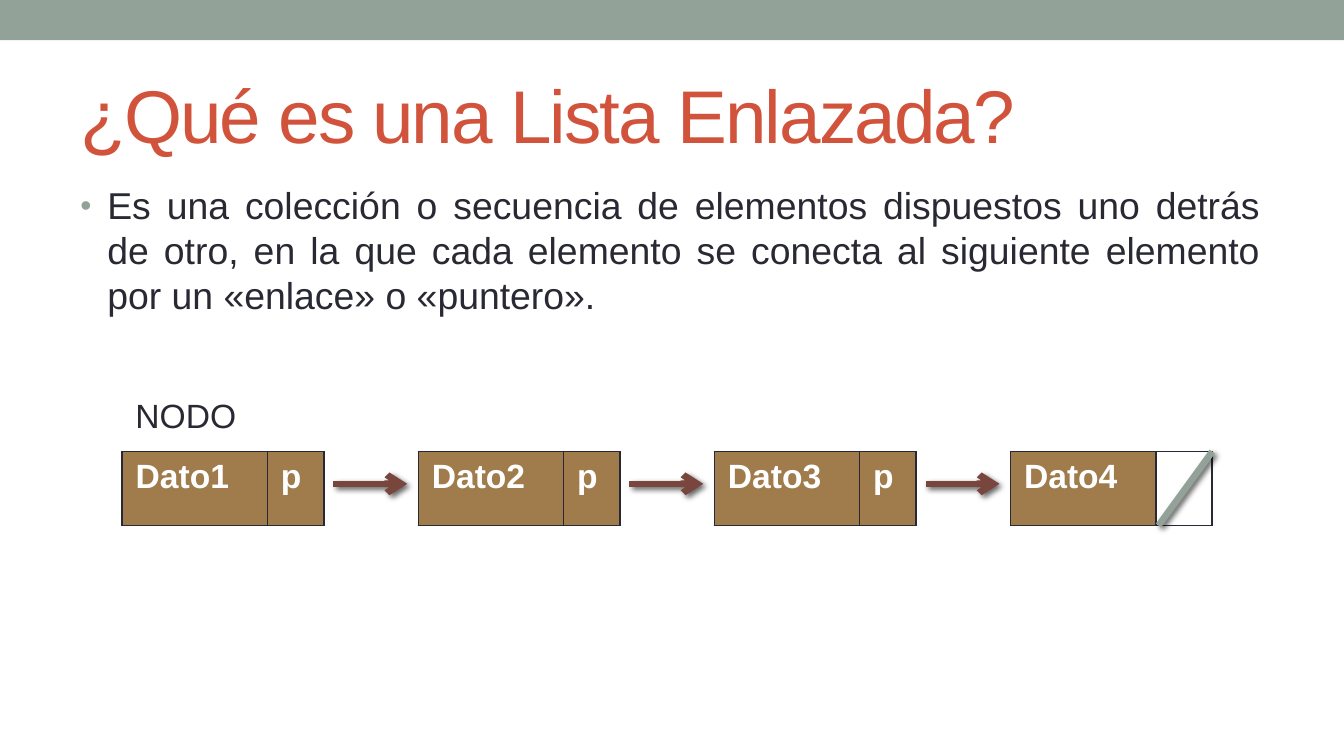
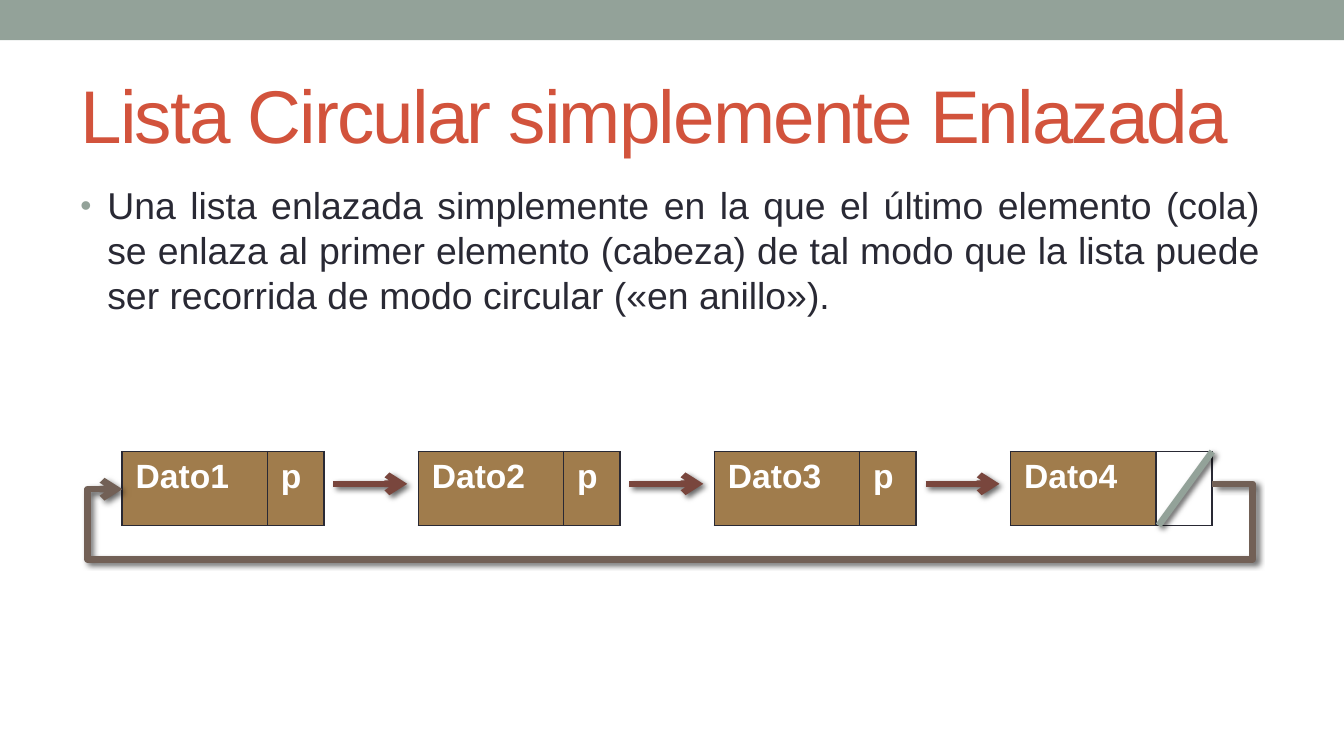
"""Builds two slides that explain linked lists and circular linked lists."""
from dataclasses import dataclass

from lxml import etree
from pptx import Presentation
from pptx.dml.color import RGBColor
from pptx.enum.shapes import MSO_CONNECTOR, MSO_SHAPE
from pptx.enum.text import MSO_ANCHOR, PP_ALIGN
from pptx.oxml.ns import qn
from pptx.shapes.connector import Connector
from pptx.slide import Slide
from pptx.table import _Cell
from pptx.text.text import TextFrame, _Paragraph
from pptx.util import Inches, Pt

STRAIGHT, ELBOW = MSO_CONNECTOR.STRAIGHT, MSO_CONNECTOR.ELBOW
RECTANGLE = MSO_SHAPE.RECTANGLE
MIDDLE, JUSTIFY = MSO_ANCHOR.MIDDLE, PP_ALIGN.JUSTIFY


@dataclass(frozen=True)
class Theme:
    font: str = "Arial"
    band: str = "93A299"
    title: str = "D2533C"
    ink: str = "292934"
    paper: str = "FFFFFF"
    node: str = "A07C4C"
    link: str = "79463D"
    loop: str = "726056"
    shadow: str = "000000"
    title_size: int = 40
    body_size: int = 20
    node_size: int = 18
    border_width: float = 1
    link_width: float = 3.5


@dataclass(frozen=True)
class Box:
    left: float
    top: float
    width: float
    height: float


@dataclass(frozen=True)
class Lesson:
    title: str
    definition: str
    node_label: str = ""
    circular: bool = False


THEME = Theme()
SLIDE_WIDTH = 10
SLIDE_HEIGHT = SLIDE_WIDTH * 9 / 16
BAND = Box(0, 0, SLIDE_WIDTH, 0.3)
TITLE = Box(0.5, 0.44, 9, 0.81)
BODY = Box(0.5, 1.31, 8.98, 4)
NODE_LABEL = Box(0.91, 2.89, 1.5, 0.4)
NODE_NAMES = ("Dato1", "Dato2", "Dato3", "Dato4")
FIRST_LEFT, LAST_LEFT = 0.91, 7.52
NODE_PITCH = (LAST_LEFT - FIRST_LEFT) / (len(NODE_NAMES) - 1)
NODE_TOP, NODE_HEIGHT = 3.36, 0.55
DATA_WIDTH, POINTER_WIDTH = 1.08, 0.42
NODE_WIDTH = DATA_WIDTH + POINTER_WIDTH
LINK_Y, LINK_GAP, LINK_LENGTH = 3.6, 0.07, 0.55
LOOP_END_Y, LOOP_RIGHT, LOOP_BOTTOM, LOOP_LEFT = 3.64, 9.32, 4.16, 0.65

LESSONS = (
    Lesson(
        "¿Qué es una Lista Enlazada?",
        "Es una colección o secuencia de elementos dispuestos uno detrás de otro, "
        "en la que cada elemento se conecta al siguiente elemento por un «enlace» "
        "o «puntero».",
        node_label="NODO",
    ),
    Lesson(
        "Lista Circular simplemente Enlazada",
        "Una lista enlazada simplemente en la que el último elemento (cola) se "
        "enlaza al primer elemento (cabeza) de tal modo que la lista puede ser "
        "recorrida de modo circular («en anillo»).",
        circular=True,
    ),
)


def add_child(parent: etree._Element, tag: str, **attributes: object) -> etree._Element:
    """Append a drawing element with the given attributes."""
    values = {key: str(value) for key, value in attributes.items()}
    return etree.SubElement(parent, qn(tag), values)


def write(frame: TextFrame, text: str, size: float, color: str,
          bold: bool = False) -> _Paragraph:
    """Write one formatted run in the first paragraph of a frame."""
    paragraph = frame.paragraphs[0]
    run = paragraph.add_run()
    run.text = text
    for name, value in {"name": THEME.font, "size": Pt(size), "bold": bold}.items():
        setattr(run.font, name, value)
    run.font.color.rgb = RGBColor.from_string(color)
    return paragraph


def add_text(slide: Slide, box: Box, text: str, size: float, color: str) -> TextFrame:
    """Place a wrapping text box."""
    frame = slide.shapes.add_textbox(
        Inches(box.left), Inches(box.top), Inches(box.width), Inches(box.height)
    ).text_frame
    frame.word_wrap = True
    write(frame, text, size, color)
    return frame


def add_band(slide: Slide) -> None:
    """Draw the coloured band along the top edge."""
    band = slide.shapes.add_shape(
        RECTANGLE, Inches(BAND.left), Inches(BAND.top),
        Inches(BAND.width), Inches(BAND.height)
    )
    band.shadow.inherit = False
    band.fill.solid()
    band.fill.fore_color.rgb = RGBColor.from_string(THEME.band)
    band.line.fill.background()


def add_title(slide: Slide, text: str) -> None:
    """Write the slide title with tightened letters."""
    frame = add_text(slide, TITLE, text, THEME.title_size, THEME.title)
    frame.vertical_anchor = MIDDLE
    frame.paragraphs[0].runs[0].font._element.set("spc", "-100")


def add_definition(slide: Slide, text: str) -> None:
    """Write the justified definition with its bullet."""
    frame = add_text(slide, BODY, text, THEME.body_size, THEME.ink)
    paragraph = frame.paragraphs[0]
    paragraph.alignment = JUSTIFY
    properties = paragraph._p.get_or_add_pPr()
    properties.set("marL", str(Inches(0.2)))
    properties.set("indent", str(Inches(-0.2)))
    add_child(add_child(properties, "a:buClr"), "a:srgbClr", val=THEME.band)
    add_child(properties, "a:buSzPct", val=85000)
    add_child(properties, "a:buFont", typeface=THEME.font)
    add_child(properties, "a:buChar", char="•")


def style_cell(cell: _Cell, fill: str) -> None:
    """Give a node cell its fill and four borders."""
    properties = cell._tc.get_or_add_tcPr()
    for side in ("a:lnL", "a:lnR", "a:lnT", "a:lnB"):
        border = add_child(properties, side, w=Pt(THEME.border_width))
        add_child(add_child(border, "a:solidFill"), "a:srgbClr", val=THEME.ink)
    cell.fill.solid()
    cell.fill.fore_color.rgb = RGBColor.from_string(fill)


def add_node(slide: Slide, left: float, name: str, last: bool) -> None:
    """Draw one list node as a data cell and a pointer cell."""
    node = slide.shapes.add_table(
        1, 2, Inches(left), Inches(NODE_TOP), Inches(NODE_WIDTH), Inches(NODE_HEIGHT)
    ).table
    for option in ("first_row", "horz_banding"):
        setattr(node, option, False)
    for column, width in zip(node.columns, (DATA_WIDTH, POINTER_WIDTH)):
        column.width = Inches(width)
    pointer_fill = THEME.paper if last else THEME.node
    for cell, text, fill in zip(node.iter_cells(), (name, "p"), (THEME.node, pointer_fill)):
        style_cell(cell, fill)
        write(cell.text_frame, text, THEME.node_size, THEME.paper, bold=True)


def add_link(slide: Slide, start: tuple[float, float], end: tuple[float, float],
             color: str, arrow: bool = True, kind: MSO_CONNECTOR = STRAIGHT) -> Connector:
    """Draw a shadowed connector, with an arrowhead if wanted."""
    link = slide.shapes.add_connector(kind, *map(Inches, start + end))
    link.line.width = Pt(THEME.link_width)
    link.line.color.rgb = RGBColor.from_string(color)
    if arrow:
        add_child(link.line._get_or_add_ln(), "a:tailEnd", type="arrow")
    shadow = add_child(
        add_child(link._element.spPr, "a:effectLst"), "a:outerShdw",
        blurRad=Pt(3), dist=Pt(2), dir=45 * 60000, rotWithShape=0,
    )
    tint = add_child(shadow, "a:srgbClr", val=THEME.shadow)
    add_child(tint, "a:alpha", val=60000)
    return link


def add_loop(slide: Slide) -> None:
    """Lead the tail node back to the head node under the list."""
    start_x, end_x = LAST_LEFT + NODE_WIDTH, FIRST_LEFT
    loop = add_link(slide, (end_x, LOOP_END_Y), (start_x, LINK_Y), THEME.loop, kind=ELBOW)
    properties = loop._element.spPr
    properties.find(qn("a:xfrm")).set("rot", str(180 * 60000))
    geometry = properties.find(qn("a:prstGeom"))
    geometry.set("prst", "bentConnector5")
    guides = geometry.find(qn("a:avLst"))
    if guides is None:
        guides = add_child(geometry, "a:avLst")
    bends = (
        (LOOP_RIGHT - start_x) / (end_x - start_x),
        (LOOP_BOTTOM - LINK_Y) / (LOOP_END_Y - LINK_Y),
        (LOOP_LEFT - start_x) / (end_x - start_x),
    )
    for number, bend in enumerate(bends, 1):
        add_child(guides, "a:gd", name=f"adj{number}", fmla=f"val {round(bend * 100000)}")


def add_list(slide: Slide) -> None:
    """Draw the chain of nodes, its links and the closing stroke."""
    for index, name in enumerate(NODE_NAMES):
        left = FIRST_LEFT + index * NODE_PITCH
        right = left + NODE_WIDTH
        last = index == len(NODE_NAMES) - 1
        add_node(slide, left, name, last)
        if last:
            add_link(slide, (right, NODE_TOP),
                     (right - POINTER_WIDTH + 0.02, NODE_TOP + NODE_HEIGHT),
                     THEME.band, arrow=False)
        else:
            link_start = right + LINK_GAP
            add_link(slide, (link_start, LINK_Y), (link_start + LINK_LENGTH, LINK_Y),
                     THEME.link)


def main() -> None:
    """Build and save the presentation."""
    presentation = Presentation()
    presentation.slide_width = Inches(SLIDE_WIDTH)
    presentation.slide_height = Inches(SLIDE_HEIGHT)
    for lesson in LESSONS:
        slide = presentation.slides.add_slide(presentation.slide_layouts[6])
        add_band(slide)
        add_title(slide, lesson.title)
        add_definition(slide, lesson.definition)
        if lesson.node_label:
            add_text(slide, NODE_LABEL, lesson.node_label, THEME.node_size, THEME.ink)
        add_list(slide)
        if lesson.circular:
            add_loop(slide)
    presentation.save("out.pptx")


if __name__ == "__main__":
    main()
